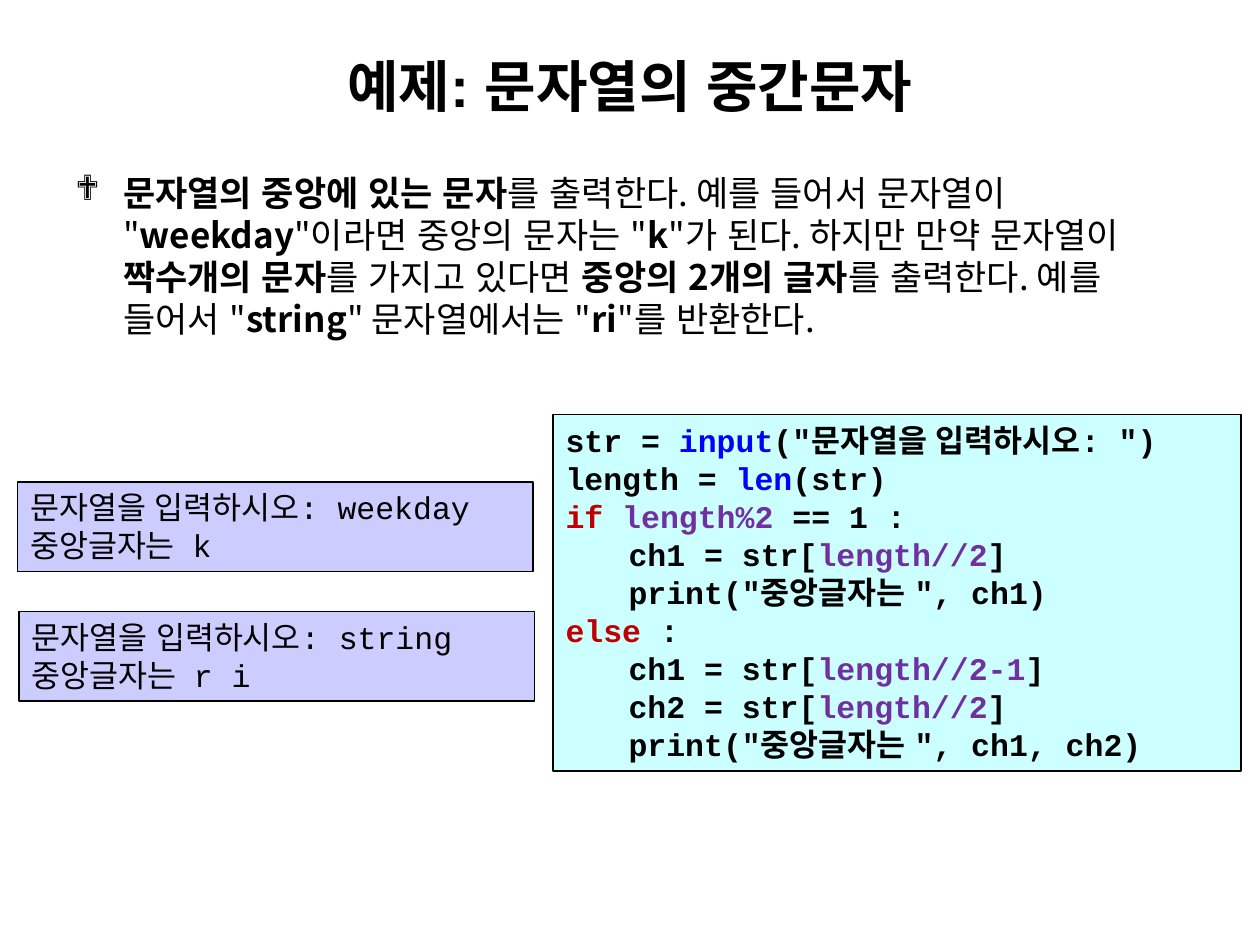
from dataclasses import dataclass

from lxml.etree import SubElement
from pptx import Presentation
from pptx.dml.color import RGBColor
from pptx.enum.lang import MSO_LANGUAGE_ID
from pptx.enum.shapes import MSO_SHAPE
from pptx.enum.text import MSO_ANCHOR, PP_ALIGN
from pptx.oxml.ns import qn
from pptx.util import Inches, Pt

WIDE, HIGH = Inches(10), Inches(7.5)
HUES = {"ink": "000000", "call": "0000FF", "word": "C00000", "math": "7030A0",
        "code": "CCFFFF", "shell": "CCCCFF"}
SANS, MONO, HANGUL = "Arial", "Courier New", "Noto Sans CJK KR"


@dataclass(frozen=True)
class Run:
    """A stretch of text with its colour and weight."""
    text: str
    hue: str = "ink"
    bold: bool = False


@dataclass(frozen=True)
class Area:
    """A rectangle in shares of the slide's size."""
    left: float
    top: float
    width: float
    height: float

    def place(self) -> tuple[int, ...]:
        """Give the rectangle in slide units."""
        return (round(self.left * WIDE), round(self.top * HIGH),
                round(self.width * WIDE), round(self.height * HIGH))


@dataclass(frozen=True)
class Panel:
    """A filled box of lines in a fixed-width font."""
    area: Area
    fill: str
    lines: list[list[Run]]


def color(name: str) -> RGBColor:
    """Look up a colour."""
    return RGBColor.from_string(HUES[name])


def apply(thing: object, form: dict) -> None:
    """Set attributes from a dict of values."""
    for key, value in form.items():
        setattr(thing, key, value)


def write(para, runs: list[Run], face: str, size: float) -> None:
    """Fill a paragraph with styled runs."""
    for item in runs:
        run = para.add_run()
        run.text = item.text
        apply(run.font, {"name": face, "size": Pt(size), "bold": item.bold,
                         "language_id": MSO_LANGUAGE_ID.KOREAN})
        run.font.color.rgb = color(item.hue)
        SubElement(run.font._element, qn("a:ea"), typeface=HANGUL)


def head(slide, text: str) -> None:
    """Place and fill the title."""
    title = slide.shapes.title
    spots = Area(0.05, 0.04, 0.9, 0.1).place()
    apply(title, dict(zip(("left", "top", "width", "height"), spots)))
    title.text_frame.vertical_anchor = MSO_ANCHOR.MIDDLE
    para = title.text_frame.paragraphs[0]
    para.alignment = PP_ALIGN.CENTER
    write(para, [Run(text, bold=True)], SANS, 32)


def brief(slide, runs: list[Run]) -> None:
    """Draw the bulleted task text."""
    box = slide.shapes.add_textbox(*Area(0.05, 0.175, 0.9, 0.777).place())
    box.text_frame.word_wrap = True
    para = box.text_frame.paragraphs[0]
    para.line_spacing = Pt(24)
    props = para._p.get_or_add_pPr()
    dent = Inches(0.38)
    props.set("marL", str(dent))
    props.set("indent", str(-dent))
    SubElement(props, qn("a:buFont"), typeface="Wingdings")
    SubElement(props, qn("a:buChar"), char="❖")
    write(para, runs, HANGUL, 20)


def draw(slide, panel: Panel) -> None:
    """Draw a panel and its lines."""
    box = slide.shapes.add_shape(MSO_SHAPE.RECTANGLE, *panel.area.place())
    box.shadow.inherit = False
    box.fill.solid()
    box.fill.fore_color.rgb = color(panel.fill)
    box.line.color.rgb = color("ink")
    box.line.width = Pt(0.75)
    frame = box.text_frame
    apply(frame, {"word_wrap": True, "vertical_anchor": MSO_ANCHOR.TOP})
    for spot, runs in enumerate(panel.lines):
        para = frame.add_paragraph() if spot else frame.paragraphs[0]
        apply(para, {"alignment": PP_ALIGN.LEFT, "line_spacing": Pt(21.7)})
        write(para, runs, MONO, 18)


def code(*parts: tuple[str, str]) -> list[Run]:
    """Make one bold line of code."""
    return [Run(text, hue, True) for text, hue in parts]


def pick(name: str, place: str) -> list[Run]:
    """Make a code line that takes one letter."""
    return code((f"\t{name} = str[", "ink"), (place, "math"), ("]", "ink"))


def shell(left: float, top: float, text: str, mid: str) -> Panel:
    """Make a panel for one sample run."""
    lines = [[Run(f"문자열을 입력하시오: {text}")], [Run(f"중앙글자는  {mid}")]]
    return Panel(Area(left, top, 0.409, 0.095), "shell", lines)


TASK = ["문자열의 중앙에 있는 문자", "를 출력한다. 예를 들어서 문자열이 \"", "weekday",
        "\"이라면 중앙의 문자는 \"", "k", "\"가 된다. 하지만 만약 문자열이 ",
        "짝수개의 문자", "를 가지고 있다면 ", "중앙의 2개의 글자",
        "를 출력한다. 예를 들어서 \"", "string", "\" 문자열에서는 \"", "ri",
        "\"를 반환한다."]
CODE = [
    code(("str = ", "ink"), ("input", "call"), ("(\"문자열을 입력하시오: \")", "ink")),
    code(("length = ", "ink"), ("len", "call"), ("(str)", "ink")),
    code(("if ", "word"), ("length%2 ", "math"), ("== 1 :", "ink")),
    pick("ch1", "length//2"),
    code(("\tprint(\"중앙글자는 \", ch1)", "ink")),
    code(("else", "word"), (" :", "ink")),
    pick("ch1", "length//2-1"),
    pick("ch2", "length//2"),
    code(("\tprint(\"중앙글자는 \", ch1, ch2)", "ink")),
]
PANELS = [
    shell(0.014, 0.51, "weekday", "k"),
    shell(0.015, 0.647, "string", "r i"),
    Panel(Area(0.439, 0.439, 0.546, 0.377), "code", CODE),
]


def main() -> None:
    """Build and save the slide."""
    deck = Presentation()
    apply(deck, {"slide_width": WIDE, "slide_height": HIGH})
    slide = deck.slides.add_slide(deck.slide_layouts[5])
    head(slide, "예제: 문자열의 중간문자")
    brief(slide, [Run(text, bold=spot % 2 == 0) for spot, text in enumerate(TASK)])
    for panel in PANELS:
        draw(slide, panel)
    deck.save("out.pptx")


if __name__ == "__main__":
    main()
